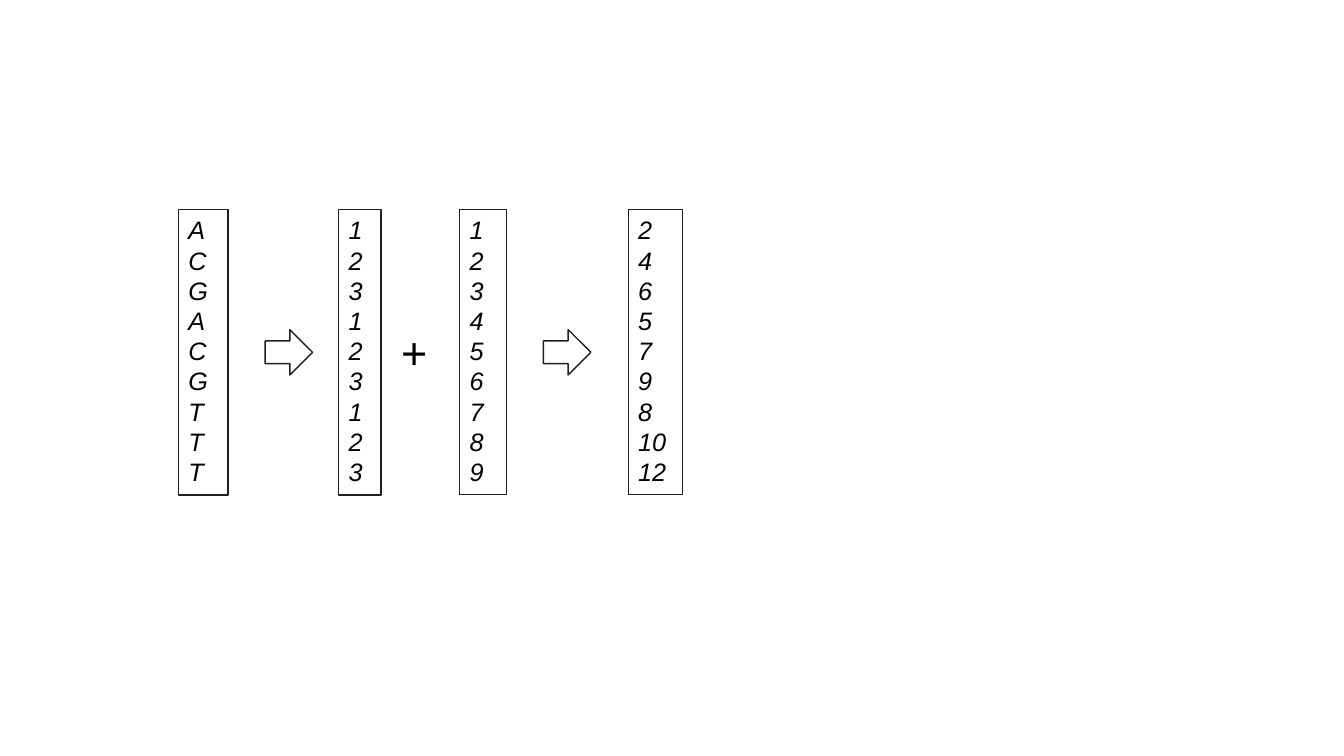
from dataclasses import dataclass

from pptx import Presentation
from pptx.dml.color import RGBColor
from pptx.enum.shapes import MSO_SHAPE
from pptx.enum.text import MSO_ANCHOR, MSO_AUTO_SIZE, PP_ALIGN
from pptx.util import Inches, Pt

RECTANGLE = MSO_SHAPE.RECTANGLE
RIGHT_ARROW = MSO_SHAPE.RIGHT_ARROW
TOP = MSO_ANCHOR.TOP
LEFT = PP_ALIGN.LEFT
GROW = MSO_AUTO_SIZE.SHAPE_TO_FIT_TEXT


@dataclass(frozen=True)
class Theme:
    font: str = "Arial"
    ink: RGBColor = RGBColor(0x00, 0x00, 0x00)
    outline: RGBColor = RGBColor(0x20, 0x20, 0x20)
    entry_size: int = 18
    operator_size: int = 32


class VectorSlide:
    def __init__(self, slide, theme):
        self.slide = slide
        self.theme = theme

    def _outlined(self, kind, left, top, width, height, weight):
        shape = self.slide.shapes.add_shape(
            kind, Inches(left), Inches(top), Inches(width), Inches(height))
        shape.shadow.inherit = False
        shape.fill.background()
        shape.line.color.rgb = self.theme.outline
        shape.line.width = Pt(weight)
        return shape

    def _write(self, frame, lines, size, italic=False):
        frame.text = "\n".join(str(line) for line in lines)
        frame.vertical_anchor = TOP
        frame.auto_size = GROW
        for paragraph in frame.paragraphs:
            paragraph.alignment = LEFT
            paragraph.font.name = self.theme.font
            paragraph.font.size = Pt(size)
            paragraph.font.italic = italic
            paragraph.font.color.rgb = self.theme.ink

    def vector(self, entries, left, width, weight):
        """Draw a boxed column with one entry per line."""
        box = self._outlined(RECTANGLE, left, 2.08, width, 2.83, weight)
        box.text_frame.word_wrap = True
        self._write(box.text_frame, entries, self.theme.entry_size, italic=True)

    def arrow(self, left):
        self._outlined(RIGHT_ARROW, left, 3.27, 0.47, 0.45, 1)

    def operator(self, symbol, left):
        box = self.slide.shapes.add_textbox(
            Inches(left), Inches(3.17), Inches(0.57), Inches(0.64))
        box.text_frame.word_wrap = False
        self._write(box.text_frame, [symbol], self.theme.operator_size)


def main():
    presentation = Presentation()
    presentation.slide_width = Inches(13.33)
    presentation.slide_height = Inches(7.5)
    slide = presentation.slides.add_slide(presentation.slide_layouts[6])
    page = VectorSlide(slide, Theme())

    bases = "ACGACGTTT"
    codes = [1, 2, 3] * 3
    positions = range(1, 10)
    sums = [code + position for code, position in zip(codes, positions)]

    page.vector(bases, 1.77, 0.49, 1)
    page.vector(codes, 3.36, 0.42, 1)
    page.vector(positions, 4.56, 0.46, 0.75)
    page.vector(sums, 6.23, 0.54, 0.75)
    for arrow_left in (2.63, 5.39):
        page.arrow(arrow_left)
    page.operator("+", 3.88)

    presentation.save("out.pptx")


if __name__ == "__main__":
    main()
